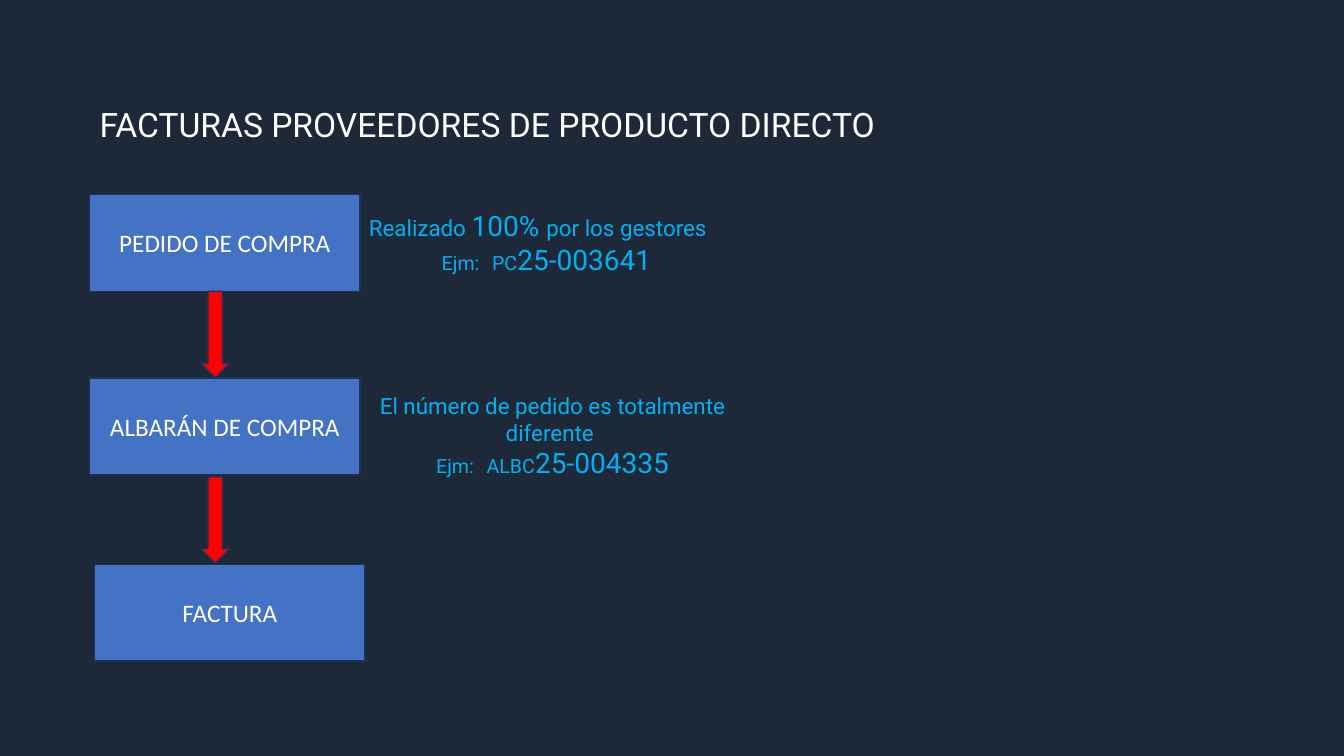
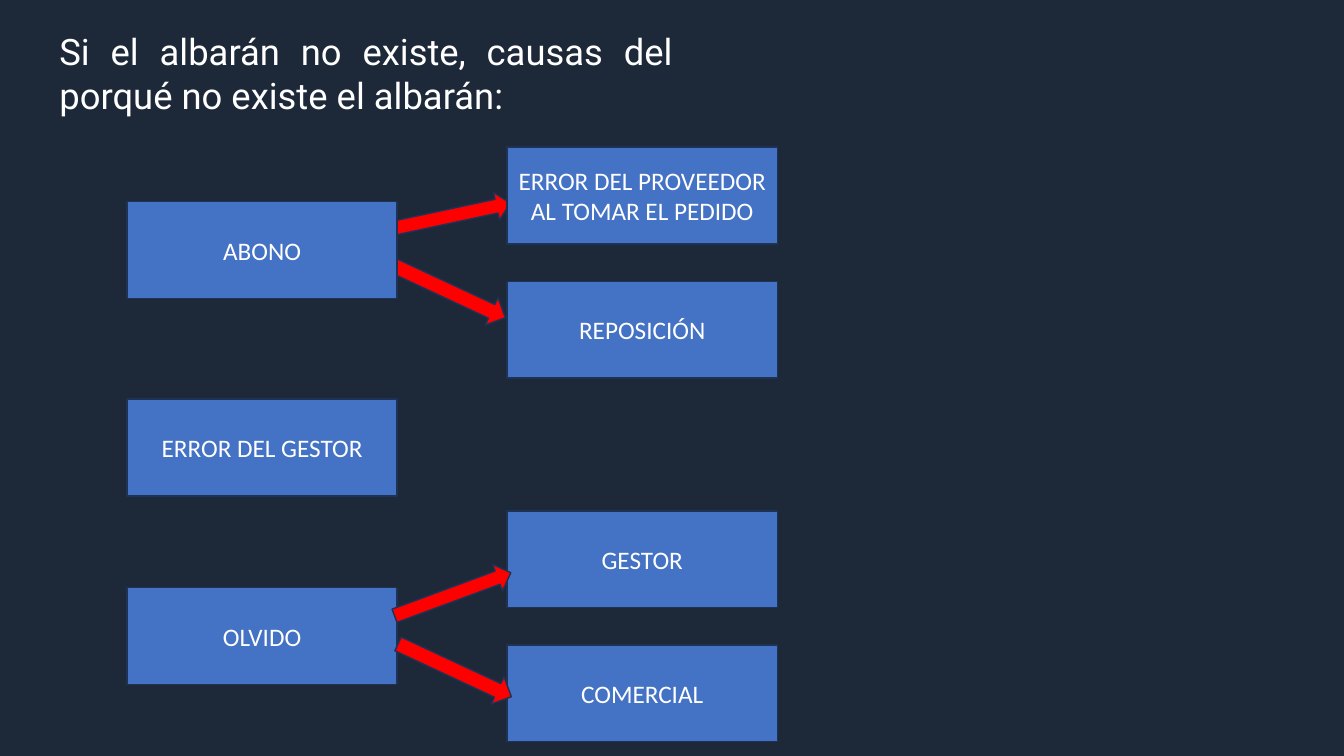
"""Build two slides on supplier invoices: the document flow and the causes of a missing delivery note."""
from pptx import Presentation
from pptx.dml.color import RGBColor
from pptx.enum.shapes import MSO_SHAPE
from pptx.enum.text import MSO_ANCHOR, MSO_AUTO_SIZE, PP_ALIGN
from pptx.util import Inches, Pt

RECTANGLE, DOWN_ARROW = MSO_SHAPE.RECTANGLE, MSO_SHAPE.DOWN_ARROW
TOP, MIDDLE = MSO_ANCHOR.TOP, MSO_ANCHOR.MIDDLE
GROW, FIXED = MSO_AUTO_SIZE.SHAPE_TO_FIT_TEXT, MSO_AUTO_SIZE.NONE
CENTER, JUSTIFY = PP_ALIGN.CENTER, PP_ALIGN.JUSTIFY

NAVY, BLUE, OUTLINE = "1D2939", "4472C4", "1E3256"
RED, CYAN, WHITE = "FF0000", "00B0F0", "FFFFFF"
BOX_WIDTH, BOX_HEIGHT = 2.68, 0.96
CAUSE_LEFT, DETAIL_LEFT = 1.26, 5.03


def add_figure(page, kind, place, fill, rotation=0):
    """Add a filled and outlined preset shape."""
    figure = page.shapes.add_shape(kind, *(Inches(length) for length in place))
    figure.shadow.inherit = False
    figure.fill.solid()
    figure.fill.fore_color.rgb = RGBColor.from_string(fill)
    figure.line.color.rgb = RGBColor.from_string(OUTLINE)
    figure.line.width = Pt(1)
    figure.rotation = rotation
    return figure


def write(shape, paragraphs, font, color, anchor=TOP, fit=GROW):
    """Fill a shape with paragraphs given as (alignment, [(text, size), ...])."""
    frame = shape.text_frame
    frame.word_wrap = True
    frame.auto_size = fit
    frame.vertical_anchor = anchor
    for index, (alignment, spans) in enumerate(paragraphs):
        para = frame.add_paragraph() if index else frame.paragraphs[0]
        para.alignment = alignment
        for text, size in spans:
            span = para.add_run()
            span.text = text
            span.font.name = font
            span.font.size = Pt(size)
            span.font.color.rgb = RGBColor.from_string(color)


flow = {
    "texts": [
        ((0.89, 0.98, 8.33, 0.5), WHITE,
         [(JUSTIFY, [("FACTURAS PROVEEDORES DE PRODUCTO DIRECTO", 24)])]),
        ((3.56, 2.02, 3.72, 0.77), CYAN,
         [(JUSTIFY, [("Realizado ", 16), ("100% ", 20), ("por los gestores", 16)]),
          (CENTER, [("Ejm:\tPC", 14), ("25-003641", 20)])]),
        ((3.62, 3.84, 3.72, 0.98), CYAN,
         [(CENTER, [("El número de pedido es totalmente diferente ", 16)]),
          (CENTER, [("Ejm:\tALBC", 14), ("25-004335", 20)])]),
    ],
    "back_arrows": [],
    "boxes": [
        (0.89, 1.93, "PEDIDO DE COMPRA"),
        (0.89, 3.75, "ALBARÁN DE COMPRA"),
        (0.94, 5.6, "FACTURA"),
    ],
    "front_arrows": [
        ((1.99, 2.89, 0.29, 0.86), 0),
        ((1.99, 4.73, 0.29, 0.86), 0),
    ],
}

causes = {
    "texts": [
        ((0.49, 0.24, 6.29, 0.98), WHITE,
         [(JUSTIFY, [("Si el albarán no existe, causas del porqué no existe el albarán:", 26)])]),
    ],
    "back_arrows": [
        ((4.3, 2.27, 0.3, 1.24), 295),
        ((4.32, 1.53, 0.28, 1.23), 257.9),
    ],
    "boxes": [
        (CAUSE_LEFT, 2, "ABONO"),
        (CAUSE_LEFT, 3.96, "ERROR DEL GESTOR"),
        (CAUSE_LEFT, 5.83, "OLVIDO"),
        (DETAIL_LEFT, 1.46, "ERROR DEL PROVEEDOR AL TOMAR EL PEDIDO"),
        (DETAIL_LEFT, 2.79, "REPOSICIÓN"),
        (DETAIL_LEFT, 5.07, "GESTOR"),
        (DETAIL_LEFT, 6.4, "COMERCIAL"),
    ],
    "front_arrows": [
        ((4.35, 5.28, 0.28, 1.23), 249.7),
        ((4.36, 6.03, 0.3, 1.24), 295),
    ],
}

deck = Presentation()
deck.slide_width, deck.slide_height = Inches(13.33), Inches(7.5)
blank = deck.slide_layouts[6]
background = deck.slide_master.background.fill
background.solid()
background.fore_color.rgb = RGBColor.from_string(NAVY)

for content in (flow, causes):
    page = deck.slides.add_slide(blank)
    for place, color, paragraphs in content["texts"]:
        box = page.shapes.add_textbox(*(Inches(length) for length in place))
        write(box, paragraphs, "Roboto", color)
    for place, rotation in content["back_arrows"]:
        add_figure(page, DOWN_ARROW, place, RED, rotation)
    for left, top, label in content["boxes"]:
        box = add_figure(page, RECTANGLE, (left, top, BOX_WIDTH, BOX_HEIGHT), BLUE)
        write(box, [(CENTER, [(label, 18)])], "Calibri", WHITE, MIDDLE, FIXED)
    for place, rotation in content["front_arrows"]:
        add_figure(page, DOWN_ARROW, place, RED, rotation)

deck.save("out.pptx")
